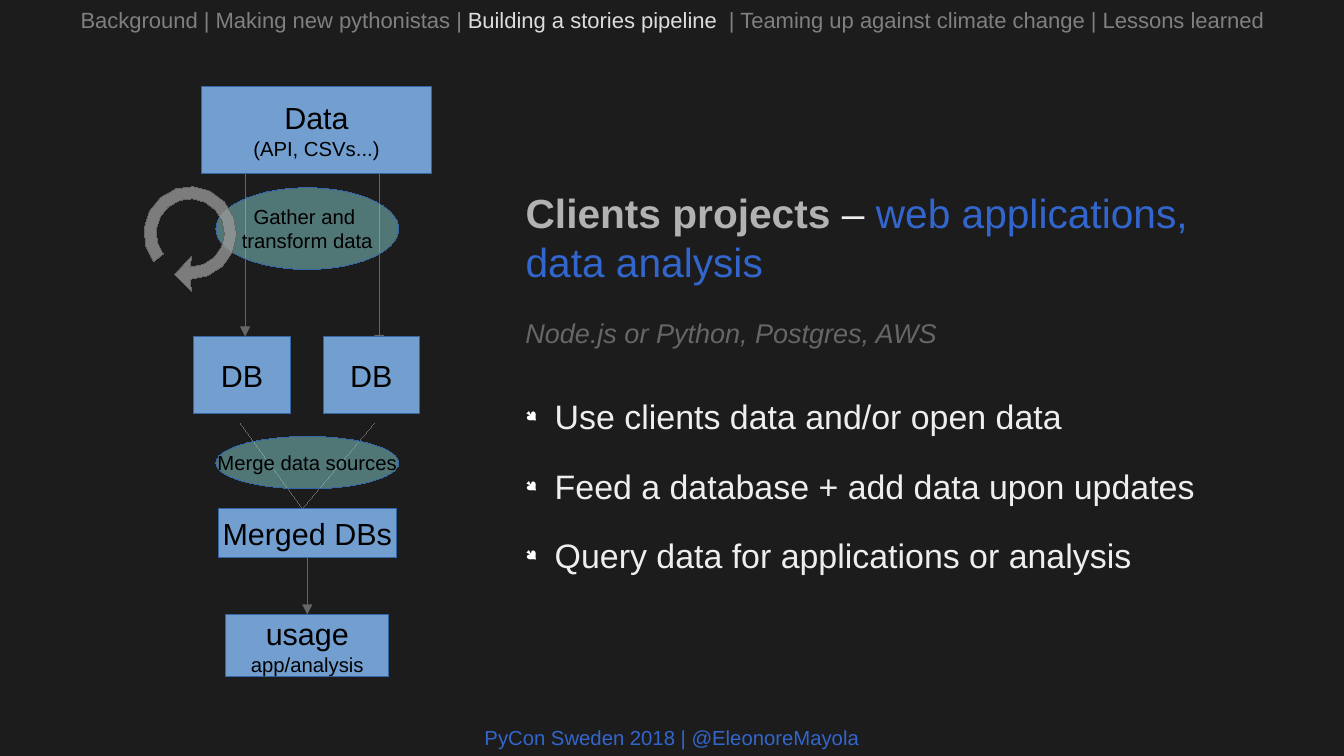
from math import cos, radians, sin

from lxml import etree
from pptx import Presentation
from pptx.dml.color import RGBColor
from pptx.enum.shapes import MSO_CONNECTOR, MSO_SHAPE
from pptx.enum.text import MSO_ANCHOR, MSO_AUTO_SIZE, PP_ALIGN
from pptx.oxml.ns import qn
from pptx.util import Inches, Pt

BACKGROUND = RGBColor(0x1C, 0x1C, 0x1C)
BLACK = RGBColor(0x00, 0x00, 0x00)
BOX_BLUE = RGBColor(0x72, 0x9F, 0xCF)
EDGE_BLUE = RGBColor(0x34, 0x65, 0xA4)
TEAL = RGBColor(0x87, 0xD1, 0xD1)
ACCENT_BLUE = RGBColor(0x33, 0x66, 0xCC)
DARK_GRAY = RGBColor(0x66, 0x66, 0x66)
GRAY = RGBColor(0x80, 0x80, 0x80)
ARROW_GRAY = RGBColor(0x99, 0x99, 0x99)
SILVER = RGBColor(0xB2, 0xB2, 0xB2)
LIGHT_GRAY = RGBColor(0xDD, 0xDD, 0xDD)
NEAR_WHITE = RGBColor(0xEE, 0xEE, 0xEE)


def write(paragraph, text, size=12, color=BLACK, bold=False, italic=False,
          align=PP_ALIGN.CENTER):
    paragraph.alignment = align
    run = paragraph.add_run()
    run.text = text
    run.font.name = "Arial"
    run.font.size = Pt(size)
    run.font.color.rgb = color
    run.font.bold = bold
    run.font.italic = italic


def paint(shape, fill, edge, opacity=100):
    shape.shadow.inherit = False
    shape.fill.solid()
    shape.fill.fore_color.rgb = fill
    shape.line.color.rgb = edge
    shape.line._get_or_add_ln().set("w", "0")  # hairline
    if opacity < 100:
        color = shape.fill._xPr.find(qn("a:solidFill"))[0]
        etree.SubElement(color, qn("a:alpha"), val=str(opacity * 1000))


presentation = Presentation()
presentation.slide_width = Inches(11.02)
presentation.slide_height = Inches(6.2)
slide = presentation.slides.add_slide(presentation.slide_layouts[5])
slide.background.fill.solid()
slide.background.fill.fore_color.rgb = BACKGROUND

# Title
title = slide.shapes.title
title.left, title.top = Inches(4.21), Inches(1.49)
title.width, title.height = Inches(5.91), Inches(0.95)
title.text_frame.auto_size = MSO_AUTO_SIZE.NONE
title.text_frame.vertical_anchor = MSO_ANCHOR.TOP
heading = title.text_frame.paragraphs[0]
for text, color, bold in [
    ("Clients projects", SILVER, True),
    (" – ", NEAR_WHITE, False),
    ("web applications, data analysis", ACCENT_BLUE, False),
]:
    write(heading, text, size=24, color=color, bold=bold, align=PP_ALIGN.LEFT)

# Section navigation and footer
for left, top, width, parts, size in [
    (0, 0, 11.02, [
        ("Background | Making new pythonistas | ", GRAY),
        ("Building a stories pipeline ", LIGHT_GRAY),
        (" | Teaming up against climate change | Lessons learned", GRAY),
    ], 13),
    (3.07, 5.9, 4.88, [("PyCon Sweden 2018 | @EleonoreMayola", ACCENT_BLUE)], 12),
]:
    box = slide.shapes.add_textbox(Inches(left), Inches(top), Inches(width), Inches(0.38))
    box.text_frame.word_wrap = True
    for text, color in parts:
        write(box.text_frame.paragraphs[0], text, size=size, color=color)

# Technologies and bullet list
body = slide.shapes.add_textbox(Inches(4.21), Inches(2.55), Inches(5.91), Inches(1.8))
body.text_frame.word_wrap = True
paragraph = body.text_frame.paragraphs[0]
paragraph.space_after = Pt(19)
write(paragraph, "Node.js or Python, Postgres, AWS", size=16, color=DARK_GRAY,
      italic=True, align=PP_ALIGN.LEFT)
for text in [
    "Use clients data and/or open data",
    "Feed a database + add data upon updates",
    "Query data for applications or analysis",
]:
    paragraph = body.text_frame.add_paragraph()
    write(paragraph, text, size=20, color=NEAR_WHITE, align=PP_ALIGN.LEFT)
    paragraph.space_before = paragraph.space_after = Pt(8.5)
    properties = paragraph._p.get_or_add_pPr()
    properties.set("marL", str(Inches(0.24)))
    properties.set("indent", str(Inches(-0.24)))
    bullet_color = etree.SubElement(properties, qn("a:buClr"))
    etree.SubElement(bullet_color, qn("a:srgbClr"), val="FFFFFF")
    etree.SubElement(properties, qn("a:buSzPct"), val="45000")
    etree.SubElement(properties, qn("a:buFont"), typeface="Wingdings", charset="2")
    etree.SubElement(properties, qn("a:buChar"), char="●")

# Flow lines, behind the boxes
connectors = []
for x1, y1, x2, y2, arrow in [
    (2.01, 1.42, 2.01, 2.76, True),
    (3.11, 1.42, 3.11, 2.83, True),
    (1.97, 3.47, 2.48, 4.17, False),
    (3.07, 3.47, 2.48, 4.17, False),
    (2.52, 4.57, 2.52, 5.04, True),
]:
    connector = slide.shapes.add_connector(
        MSO_CONNECTOR.STRAIGHT, Inches(x1), Inches(y1), Inches(x2), Inches(y2))
    connector.line.color.rgb = DARK_GRAY
    line = connector.line._get_or_add_ln()
    line.set("w", "0")
    if arrow:
        etree.SubElement(line, qn("a:tailEnd"), type="triangle")
    etree.SubElement(connector._element.spPr, qn("a:effectLst"))
    connectors.append(connector)

# Pipeline boxes and steps
RECTANGLE, OVAL = MSO_SHAPE.RECTANGLE, MSO_SHAPE.OVAL
nodes = {}
for kind, left, top, width, height, lines in [
    (RECTANGLE, 1.65, 0.71, 1.89, 0.71, [("Data", 18), ("(API, CSVs...)", 12)]),
    (RECTANGLE, 1.59, 2.76, 0.79, 0.63, [("DB", 18)]),
    (RECTANGLE, 2.65, 2.76, 0.79, 0.63, [("DB", 18)]),
    (OVAL, 1.77, 1.54, 1.5, 0.67, [("Gather and ", 12), ("transform data", 12)]),
    (RECTANGLE, 1.85, 5.04, 1.34, 0.51, [("usage", 18), ("app/analysis", 12)]),
    (OVAL, 1.77, 3.58, 1.5, 0.43, [("Merge data sources", 12)]),
    (RECTANGLE, 1.79, 4.17, 1.46, 0.4, [("Merged DBs", 18)]),
]:
    shape = slide.shapes.add_shape(
        kind, Inches(left), Inches(top), Inches(width), Inches(height))
    if kind == OVAL:
        paint(shape, TEAL, EDGE_BLUE, opacity=50)
    else:
        paint(shape, BOX_BLUE, EDGE_BLUE)
    frame = shape.text_frame
    frame.word_wrap = False
    frame.vertical_anchor = MSO_ANCHOR.MIDDLE
    for index, (text, size) in enumerate(lines):
        paragraph = frame.add_paragraph() if index else frame.paragraphs[0]
        write(paragraph, text, size=size)
    nodes[lines[0][0]] = shape

connectors[-1].begin_connect(nodes["Merged DBs"], 2)
connectors[-1].end_connect(nodes["usage"], 0)

# Circular repeat arrow
center_x, center_y, inner, outer = 1.56, 1.91, 0.28, 0.38
sweep = range(90, -220, -22)
points = [(center_x + radius * cos(radians(angle)), center_y + radius * sin(radians(angle)))
          for radius, angles in [(inner, sweep), (outer, reversed(sweep))]
          for angle in angles]
points += [(1.57, 2.39), (1.43, 2.25), (1.57, 2.1)]
builder = slide.shapes.build_freeform(
    Inches(points[0][0]), Inches(points[0][1]))
builder.add_line_segments([(Inches(x), Inches(y)) for x, y in points[1:]], close=True)
paint(builder.convert_to_shape(), ARROW_GRAY, DARK_GRAY, opacity=77)

presentation.save("out.pptx")
